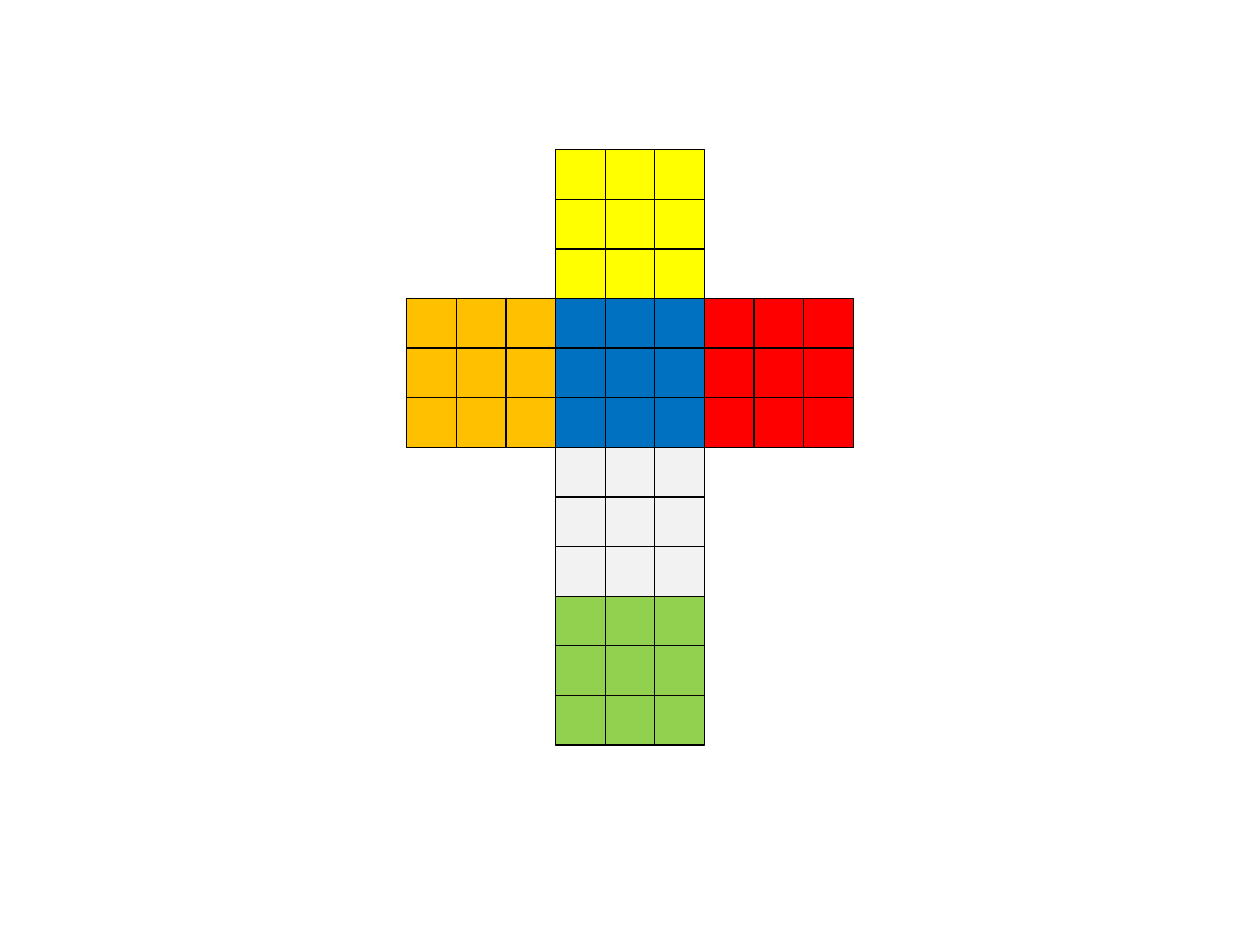
from dataclasses import dataclass
from itertools import product

from pptx import Presentation
from pptx.dml.color import RGBColor
from pptx.enum.shapes import MSO_SHAPE as Shape
from pptx.util import Cm, Inches, Pt


@dataclass(frozen=True)
class Theme:
    green: str = "92D050"
    blue: str = "0070C0"
    white: str = "F2F2F2"
    yellow: str = "FFFF00"
    red: str = "FF0000"
    orange: str = "FFC000"
    outline: str = "000000"
    outline_width: float = 0.75


@dataclass(frozen=True)
class Box:
    left: int
    top: int
    size: int


THEME = Theme()
CELLS = 3
CELL = Cm(1)
FACE = CELLS * CELL
NET_COLUMNS = 3
NET_TOP = Cm(3.02)

FACES = [
    (1, 3, THEME.green),
    (1, 1, THEME.blue),
    (1, 2, THEME.white),
    (1, 0, THEME.yellow),
    (2, 1, THEME.red),
    (0, 1, THEME.orange),
]


def add_sticker(page, box, color):
    sticker = page.shapes.add_shape(
        Shape.RECTANGLE, box.left, box.top, box.size, box.size)
    sticker.rotation = 90
    sticker.shadow.inherit = False
    sticker.fill.solid()
    sticker.fill.fore_color.rgb = RGBColor.from_string(color)
    sticker.line.color.rgb = RGBColor.from_string(THEME.outline)
    sticker.line.width = Pt(THEME.outline_width)


def add_face(page, box, color):
    cell = box.size // CELLS
    for column, row in product(reversed(range(CELLS)), range(CELLS)):
        place = Box(box.left + column * cell, box.top + row * cell, cell)
        add_sticker(page, place, color)


def add_cube_net(page, left, top):
    for column, row, color in FACES:
        place = Box(left + column * FACE, top + row * FACE, FACE)
        add_face(page, place, color)


deck = Presentation()
deck.slide_width, deck.slide_height = Inches(10), Inches(7.5)
page = deck.slides.add_slide(deck.slide_layouts[6])
add_cube_net(page, (deck.slide_width - NET_COLUMNS * FACE) // 2, NET_TOP)
deck.save("out.pptx")
